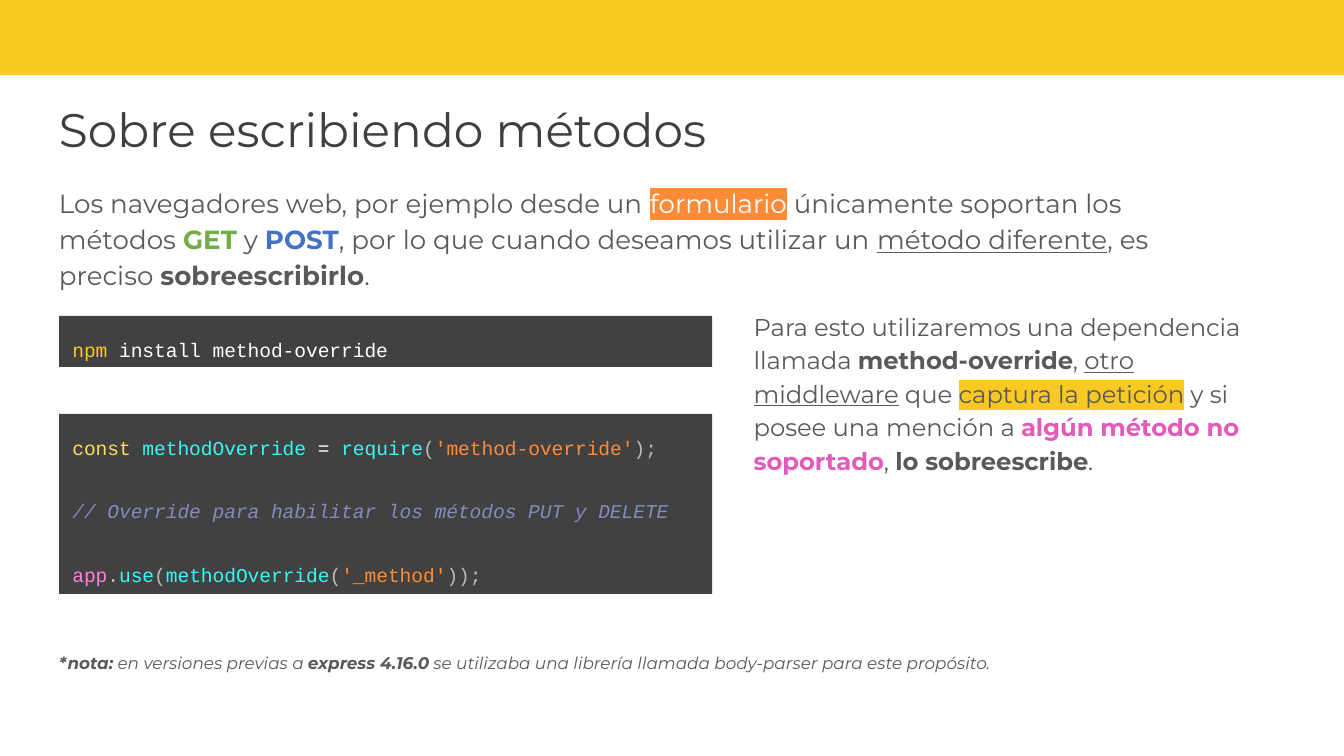
from lxml import etree
from pptx import Presentation
from pptx.dml.color import RGBColor
from pptx.enum.shapes import MSO_SHAPE as Shape
from pptx.enum.text import MSO_ANCHOR as Anchor, PP_ALIGN as Align
from pptx.oxml.ns import qn
from pptx.util import Inches, Pt

WHITE = RGBColor(0xFF, 0xFF, 0xFF)
YELLOW = RGBColor(0xF8, 0xC8, 0x23)
ORANGE = RGBColor(0xFF, 0x8B, 0x39)
TITLE_GRAY = RGBColor(0x3F, 0x3F, 0x3F)
TEXT_GRAY = RGBColor(0x59, 0x59, 0x59)
GREEN = RGBColor(0x70, 0xAD, 0x47)
BLUE = RGBColor(0x44, 0x72, 0xC4)
MAGENTA = RGBColor(0xE1, 0x5B, 0xBA)
CODE_BACK = RGBColor(0x41, 0x41, 0x41)
KEYWORD = RGBColor(0xFE, 0xDE, 0x5D)
FUNCTION = RGBColor(0x36, 0xF9, 0xF6)
PUNCTUATION = RGBColor(0xBB, 0xBB, 0xBB)
COMMENT = RGBColor(0x84, 0x8B, 0xBD)
OBJECT = RGBColor(0xFF, 0x7E, 0xDB)

BOLD = {"bold": True}
UNDERLINE = {"underline": True}


def add_runs(paragraph, pieces):
    """Each piece is a (text, style) pair; style overrides the paragraph font."""
    for text, style in pieces:
        run = paragraph.add_run()
        run.text = text
        font = run.font
        for name in ("bold", "italic", "underline"):
            if name in style:
                setattr(font, name, style[name])
        if "color" in style:
            font.color.rgb = style["color"]
        if "highlight" in style:
            # The highlight must follow the fill and precede the typeface
            props = run._r.get_or_add_rPr()
            highlight = etree.Element(qn("a:highlight"))
            etree.SubElement(highlight, qn("a:srgbClr"), val=str(style["highlight"]))
            props.insert(1 if "color" in style else 0, highlight)


def set_frame(frame):
    frame.word_wrap = True
    frame.vertical_anchor = Anchor.TOP
    frame.margin_left = frame.margin_right = Inches(0.1)
    frame.margin_top = frame.margin_bottom = Inches(0.1)


def set_font(paragraph, name, size, color):
    font = paragraph.font
    font.name, font.size = name, Pt(size)
    font.color.rgb = color


def add_prose(slide, box, pieces, size, color=TEXT_GRAY, spacing=1.15, italic=None):
    frame = slide.shapes.add_textbox(*map(Inches, box)).text_frame
    set_frame(frame)
    paragraph = frame.paragraphs[0]
    paragraph.line_spacing = spacing
    set_font(paragraph, "Montserrat", size, color)
    paragraph.font.italic = italic
    add_runs(paragraph, pieces)


def add_block(slide, box, color):
    block = slide.shapes.add_shape(Shape.RECTANGLE, *map(Inches, box))
    block.shadow.inherit = False
    block.fill.solid()
    block.fill.fore_color.rgb = color
    block.line.fill.background()
    return block


def add_code(slide, box, lines):
    frame = add_block(slide, box, CODE_BACK).text_frame
    set_frame(frame)
    for index, line in enumerate(lines):
        paragraph = frame.add_paragraph() if index else frame.paragraphs[0]
        paragraph.alignment = Align.LEFT
        paragraph.line_spacing = 1.36
        if index:
            paragraph.space_before = Pt(17)
        set_font(paragraph, "Courier New", 10.5, WHITE)
        add_runs(paragraph, [(text, {"color": color, "italic": color == COMMENT})
                             for text, color in line])


def build_slide(prs):
    slide = prs.slides.add_slide(prs.slide_layouts[6])

    # Top band and title
    add_block(slide, (-0.01, -0.05, 10.03, 0.61), YELLOW)
    add_prose(slide, (0.34, 0.65, 9.32, 0.63),
              [("Sobre escribiendo métodos", {})], 25.2, TITLE_GRAY, 1.0)

    # Introduction
    add_prose(slide, (0.34, 1.26, 8.45, 1.06), [
        ("Los navegadores web, por ejemplo desde un ", {}),
        ("formulario", {"color": WHITE, "highlight": ORANGE}),
        (" únicamente soportan los métodos ", {}),
        ("GET", {"color": GREEN, "bold": True}),
        (" y ", {}),
        ("POST", {"color": BLUE, "bold": True}),
        (", por lo que cuando deseamos utilizar un ", {}),
        ("método diferente", UNDERLINE),
        (", es preciso ", {}),
        ("sobreescribirlo", BOLD),
        (".", {}),
    ], 14)

    # Footnote
    add_prose(slide, (0.34, 4.75, 8.2, 0.35), [
        ("*nota:", BOLD),
        (" en versiones previas a ", {}),
        ("express 4.16.0", BOLD),
        (" se utilizaba una librería llamada body-parser para este propósito.", {}),
    ], 9, italic=True)

    # Explanation of the dependency
    add_prose(slide, (5.51, 2.19, 3.83, 1.43), [
        ("Para esto utilizaremos una dependencia llamada ", {}),
        ("method-override", BOLD),
        (", ", {}),
        ("otro middleware", UNDERLINE),
        (" que ", {}),
        ("captura la petición", {"highlight": YELLOW}),
        (" y si posee una mención a ", {}),
        ("algún método no soportado", {"color": MAGENTA, "bold": True}),
        (", ", {}),
        ("lo sobreescribe", BOLD),
        (".", {}),
    ], 13)

    # Code blocks
    add_code(slide, (0.44, 2.35, 4.86, 0.38),
             [[("npm ", YELLOW), ("install method-override", WHITE)]])
    add_code(slide, (0.44, 3.08, 4.86, 1.34), [
        [("const ", KEYWORD), ("methodOverride ", FUNCTION), ("= ", WHITE),
         ("require", FUNCTION), ("(", PUNCTUATION),
         ("'method-override'", ORANGE), (");", PUNCTUATION)],
        [("// Override para habilitar los métodos PUT y DELETE", COMMENT)],
        [("app", OBJECT), (".", PUNCTUATION), ("use", FUNCTION), ("(", PUNCTUATION),
         ("methodOverride", FUNCTION), ("(", PUNCTUATION),
         ("'_method'", ORANGE), ("));", PUNCTUATION)],
    ])


def main():
    prs = Presentation()
    # Widescreen, 16:9
    prs.slide_width = Inches(10)
    prs.slide_height = prs.slide_width * 9 // 16
    build_slide(prs)
    prs.save("out.pptx")


if __name__ == "__main__":
    main()
